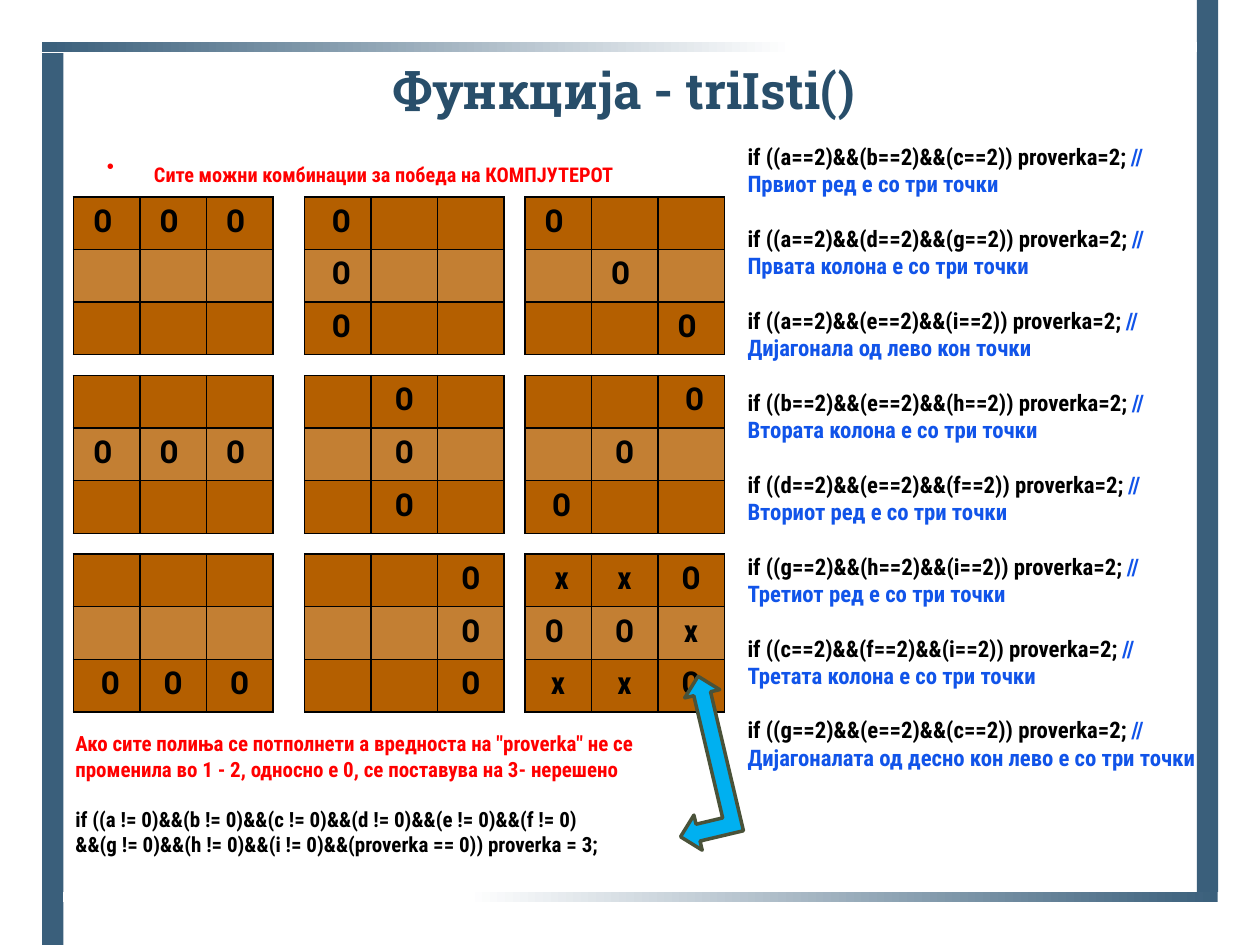
"""Build the slide on winning positions checked by the triIsti() function."""
import pptx
import pptx.dml.color
import pptx.enum.shapes
import pptx.enum.text
import pptx.oxml
import pptx.oxml.ns
import pptx.util
from lxml import etree
from pptx.util import Cm, Pt

COLORS = {
    "frame": "3A5F7B", "white": "FFFFFF", "title": "284E6A", "red": "FF0000",
    "black": "000000", "comment": "1154E9", "dark_cell": "B45F00",
    "light_cell": "C37F33", "arrow": "00B0F0", "arrow_line": "4A5239",
}
BODY_FONT = "Roboto Condensed"
ALIGN = pptx.enum.text.PP_ALIGN
SHAPE = pptx.enum.shapes.MSO_SHAPE

BOARD_LEFTS = (1.48, 6.14, 10.58)
BOARD_TOP, BOARD_PITCH = 3.97, 3.6
CELL_WIDTH, CELL_HEIGHT = 1.34, 1.06
BOARDS = [
    [(ALIGN.LEFT, (" О| О| О", "||", "||")),
     (ALIGN.CENTER, (" О||", " О||", " О||")),
     (ALIGN.LEFT, (" О||", "| О|", "|| О"))],
    [(ALIGN.LEFT, ("||", " О| О| О", "||")),
     (ALIGN.CENTER, ("|О|", "|О|", "|О|")),
     (ALIGN.CENTER, ("|| О", "|О|", " О||"))],
    [(ALIGN.CENTER, ("||", "||", " О|О|О")),
     (ALIGN.CENTER, ("||О", "||О", "||О")),
     (ALIGN.CENTER, (" x|x|О", "О |О|x", " x |x|О"))],
]
CHECKS = [
    ("abc", "Првиот ред е со три точки"),
    ("adg", "Првата колона е со три точки"),
    ("aei", "Дијагонала од лево кон точки"),
    ("beh", "Втората колона е со три точки"),
    ("def", "Вториот ред е со три точки"),
    ("ghi", "Третиот ред е со три точки"),
    ("cfi", "Третата колона е со три точки"),
    ("gec", "Дијагоналата од десно кон лево е со три точки"),
]


def rgb(name):
    return pptx.dml.color.RGBColor.from_string(COLORS[name])


def place(item, left, top, width, height):
    item.left, item.top = Cm(left), Cm(top)
    item.width, item.height = Cm(width), Cm(height)


def add_span(para, text, size, color, font=BODY_FONT):
    span = para.add_run()
    span.text = text
    span.font.name = font
    span.font.size = Pt(size)
    span.font.bold = True
    span.font.color.rgb = rgb(color)


def add_shape(page, kind, area, color):
    shape = page.shapes.add_shape(kind, *(Cm(length) for length in area))
    shape.shadow.inherit = False
    shape.fill.solid()
    shape.fill.fore_color.rgb = rgb(color)
    shape.line.fill.background()
    return shape


def add_fading_bar(page, area, angle):
    bar = add_shape(page, SHAPE.RECTANGLE, area, "frame")
    bar.fill.gradient()
    bar.fill.gradient_angle = angle
    for stop, color, position in zip(bar.fill.gradient_stops, ("frame", "white"), (0, 0.65)):
        stop.color.rgb = rgb(color)
        stop.position = position


def add_frame(page):
    add_shape(page, SHAPE.RECTANGLE, (24.13, 0, 0.43, 17.98), "frame")
    add_shape(page, SHAPE.RECTANGLE, (0.85, 1.07, 0.43, 17.98), "frame")
    add_fading_bar(page, (1.27, 17.98, 23.28, 0.21), 180)
    add_fading_bar(page, (0.85, 0.85, 23.28, 0.21), 0)


def fill_placeholder(item, area, anchor):
    place(item, *area)
    frame = item.text_frame
    frame.auto_size = pptx.enum.text.MSO_AUTO_SIZE.NONE
    frame.vertical_anchor = anchor
    return frame.paragraphs[0]


def add_headings(page):
    anchor = pptx.enum.text.MSO_ANCHOR
    para = fill_placeholder(page.shapes.title, (1.48, 1.27, 22.44, 1.27), anchor.BOTTOM)
    para.alignment = ALIGN.CENTER
    add_span(para, "Функција - triIsti() ", 28.8, "title", "Roboto Slab")

    para = fill_placeholder(page.placeholders[1], (1.9, 2.75, 15.45, 1.06), anchor.TOP)
    para.space_before = Pt(2)
    properties = para._p.get_or_add_pPr()
    properties.set("marL", str(Cm(0.95)))
    properties.set("indent", str(-Cm(0.95)))
    add_span(para, "Сите можни комбинации за победа на КОМПЈУТЕРОТ ", 11.6, "red")
    add_span(para, " ", 22.5, "red")


def add_borders(cell):
    properties = cell._tc.get_or_add_tcPr()
    for side in ("a:lnL", "a:lnR", "a:lnT", "a:lnB"):
        line = etree.SubElement(properties, pptx.oxml.ns.qn(side), w=str(Pt(1)))
        fill = etree.SubElement(line, pptx.oxml.ns.qn("a:solidFill"))
        etree.SubElement(fill, pptx.oxml.ns.qn("a:srgbClr"), val=COLORS["black"])


def add_board(page, left, top, alignment, rows):
    table = page.shapes.add_table(
        3, 3, Cm(left), Cm(top), Cm(3 * CELL_WIDTH), Cm(3 * CELL_HEIGHT)).table
    for column in table.columns:
        column.width = Cm(CELL_WIDTH)
    for row_index, marks in enumerate(rows):
        table.rows[row_index].height = Cm(CELL_HEIGHT)
        for column_index, mark in enumerate(marks.split("|")):
            cell = table.cell(row_index, column_index)
            add_borders(cell)
            cell.fill.solid()
            cell.fill.fore_color.rgb = rgb("light_cell" if row_index == 1 else "dark_cell")
            if mark:
                para = cell.text_frame.paragraphs[0]
                para.alignment = alignment
                add_span(para, mark, 18, "black")


def add_text(page, area, size, paragraphs):
    box = page.shapes.add_textbox(*(Cm(length) for length in area))
    frame = box.text_frame
    frame.word_wrap = True
    for index, (spans, gap) in enumerate(paragraphs):
        para = frame.paragraphs[0] if index == 0 else frame.add_paragraph()
        para.space_after = Pt(gap)
        for text, color in spans:
            add_span(para, text, size, color)


def add_checks(page):
    paragraphs = []
    for fields, comment in CHECKS:
        condition = "&&".join(f"({field}==2)" for field in fields)
        spans = [(f"if ({condition}) proverka=2; ", "black"), (f"// {comment}", "comment")]
        paragraphs.append((spans, 15.6))
    add_text(page, (14.82, 2.75, 9.55, 13.59), 13, paragraphs)


def add_draw_rule(page):
    add_text(page, (1.27, 14.61, 13.55, 3.94), 12, [
        ([("Ако сите полиња се потполнети а вредноста на \"proverka\" не се променила "
           "во 1 - 2, односно е 0, се поставува на 3- нерешено", "red")], 14.4),
        ([("if ((a != 0)&&(b != 0)&&(c != 0)&&(d != 0)&&(e != 0)&&(f != 0)", "black")], 0),
        ([("&&(g != 0)&&(h != 0)&&(i != 0)&&(proverka == 0)) proverka = 3;", "black")], 0),
    ])


def add_arrow(page):
    arrow = add_shape(page, SHAPE.LEFT_UP_ARROW, (13.39, 13.67, 1.45, 3.43), "arrow")
    arrow.rotation = 346.7
    for index, value in enumerate((0.24, 0.25, 0.25)):
        arrow.adjustments[index] = value
    arrow.line.color.rgb = rgb("arrow_line")
    arrow.line.width = Pt(2)


def main():
    deck = pptx.Presentation()
    deck.slide_width, deck.slide_height = Cm(25.4), Cm(19.05)
    page = deck.slides.add_slide(deck.slide_layouts[1])
    add_frame(page)
    add_headings(page)
    for row_index, boards in enumerate(BOARDS):
        for left, (alignment, rows) in zip(BOARD_LEFTS, boards):
            add_board(page, left, BOARD_TOP + row_index * BOARD_PITCH, alignment, rows)
    add_checks(page)
    add_draw_rule(page)
    add_arrow(page)
    deck.save("out.pptx")


if __name__ == "__main__":
    main()
